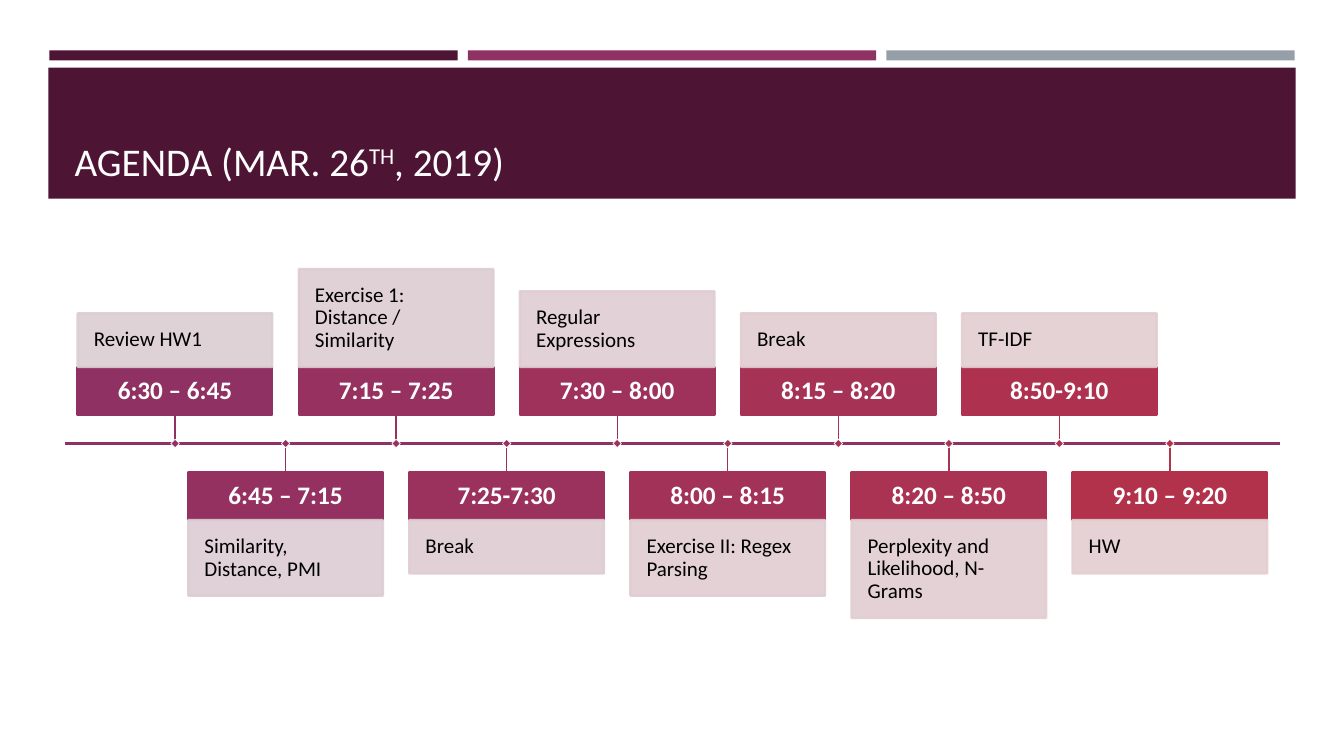
from dataclasses import dataclass

from lxml.etree import SubElement
from pptx import Presentation
from pptx.dml.color import RGBColor
from pptx.enum.shapes import MSO_CONNECTOR as Connector, MSO_SHAPE as Preset
from pptx.enum.text import MSO_ANCHOR as Anchor, MSO_AUTO_SIZE as AutoSize, PP_ALIGN as Align
from pptx.oxml.ns import qn
from pptx.util import Inches, Pt

FONT = "Calibri"
COLOURS = {
    "band": "4D1434", "plum": "903163", "grey": "969FA7",
    "white": "FFFFFF", "title": "FFFEFF", "black": "000000",
    "time0": "903163", "time1": "943161", "time2": "973160", "time3": "9B325D",
    "time4": "9F325B", "time5": "A33258", "time6": "A63256", "time7": "AA3252",
    "time8": "AE324F", "time9": "B2324B",
    "topic0": "DBCED3", "topic1": "DCCDD3", "topic2": "DDCDD2", "topic3": "DECDD2",
    "topic4": "DFCDD2", "topic5": "E0CDD2", "topic6": "E1CDD1", "topic7": "E2CDD1",
    "topic8": "E3CED0", "topic9": "E4CED0",
}


@dataclass(frozen=True)
class Session:
    time: str
    topic: str
    lines: int


@dataclass(frozen=True)
class Label:
    text: str
    size: int
    colour: str
    bold: bool
    align: Align
    inset: float


SESSIONS = [
    Session("6:30 – 6:45", "Review HW1", 1),
    Session("6:45 – 7:15", "Similarity, Distance, PMI", 2),
    Session("7:15 – 7:25", "Exercise 1: Distance / Similarity", 3),
    Session("7:25-7:30", "Break", 1),
    Session("7:30 – 8:00", "Regular Expressions", 2),
    Session("8:00 – 8:15", "Exercise II: Regex Parsing", 2),
    Session("8:15 – 8:20", "Break", 1),
    Session("8:20 – 8:50", "Perplexity and Likelihood, N-Grams", 3),
    Session("8:50-9:10", "TF-IDF", 1),
    Session("9:10 – 9:20", "HW", 1),
]

AXIS_LEFT, AXIS_RIGHT, AXIS_Y = 0.64, 12.7, 4.4
COLUMN = (AXIS_RIGHT - AXIS_LEFT) / (len(SESSIONS) + 1)
CARD_WIDTH, TIME_HEIGHT, STEM = 1.93, 0.48, 0.28
TOPIC_PADDING, TOPIC_LINE = 0.31, 0.22
MARKER = 0.06

deck = Presentation()
deck.slide_width, deck.slide_height = Inches(13.33), Inches(7.5)
page = deck.slides.add_slide(deck.slide_layouts[5])


def colour(name: str) -> RGBColor:
    return RGBColor.from_string(COLOURS[name])


def add_box(left: float, top: float, width: float, height: float, fill: str,
            outline: str = "", weight: float = 1.75):
    box = page.shapes.add_shape(Preset.RECTANGLE, Inches(left), Inches(top),
                                Inches(width), Inches(height))
    box.shadow.inherit = False
    box.fill.solid()
    box.fill.fore_color.rgb = colour(fill)
    if outline:
        box.line.color.rgb = colour(outline)
        box.line.width = Pt(weight)
    else:
        box.line.fill.background()
    return box


def add_line(x1: float, y1: float, x2: float, y2: float, tone: str, weight: float) -> None:
    line = page.shapes.add_connector(Connector.STRAIGHT, Inches(x1), Inches(y1),
                                     Inches(x2), Inches(y2))
    line.line.color.rgb = colour(tone)
    line.line.width = Pt(weight)
    SubElement(line._element.spPr, qn("a:effectLst"))


def write_label(box, label: Label) -> None:
    frame = box.text_frame
    frame.text = label.text
    frame.word_wrap = True
    frame.vertical_anchor = Anchor.MIDDLE
    frame.margin_left = frame.margin_right = Inches(label.inset)
    frame.margin_top = frame.margin_bottom = Inches(label.inset)
    para = frame.paragraphs[0]
    para.alignment = label.align
    para.line_spacing = 0.9
    font = para.runs[0].font
    font.name, font.size, font.bold = FONT, Pt(label.size), label.bold
    font.color.rgb = colour(label.colour)


def soften(box) -> None:
    for tone in box._element.spPr.iter(qn("a:srgbClr")):
        SubElement(tone, qn("a:alpha")).set("val", "90000")


def add_title() -> None:
    title = page.shapes.title
    title.left, title.top = Inches(0.64), Inches(0.77)
    title.width, title.height = Inches(12.06), Inches(1.11)
    page.shapes._spTree.append(title._element)
    frame = title.text_frame
    frame.word_wrap = True
    frame.auto_size = AutoSize.NONE
    frame.vertical_anchor = Anchor.BOTTOM
    para = frame.paragraphs[0]
    para.alignment = Align.LEFT
    for text, baseline in (("AGENDA (MAR. 26", 0), ("TH", 30000), (", 2019)", 0)):
        span = para.add_run()
        span.text = text
        span.font.name, span.font.size = FONT, Pt(28)
        span.font.color.rgb = colour("title")
        if baseline:
            span.font._element.set("baseline", str(baseline))


def add_session(index: int, session: Session) -> None:
    centre = AXIS_LEFT + COLUMN * (index + 1)
    left = centre - CARD_WIDTH / 2
    topic_height = TOPIC_PADDING + TOPIC_LINE * session.lines
    above = index % 2 == 0
    if above:
        stem_end = AXIS_Y - STEM
        time_top = stem_end - TIME_HEIGHT
        topic_top = time_top - topic_height
    else:
        stem_end = time_top = AXIS_Y + STEM
        topic_top = time_top + TIME_HEIGHT
    tone, pale = f"time{index}", f"topic{index}"
    time_box = add_box(left, time_top, CARD_WIDTH, TIME_HEIGHT, tone, tone)
    write_label(time_box, Label(session.time, 18, "white", True, Align.CENTER, 0.1))
    topic_box = add_box(left, topic_top, CARD_WIDTH, topic_height, pale, pale)
    soften(topic_box)
    write_label(topic_box, Label(session.topic, 15, "black", False, Align.LEFT, 0.16))
    add_line(centre, min(stem_end, AXIS_Y), centre, max(stem_end, AXIS_Y), tone, 1)
    marker = add_box(centre - MARKER / 2, AXIS_Y - MARKER / 2, MARKER, MARKER,
                     tone, "white", 0.5)
    marker.rotation = 45


for position, strip in enumerate(("band", "plum", "grey")):
    add_box(0.49 + 4.15 * position, 0.5, 4.05, 0.1, strip)
add_box(0.48, 0.67, 12.37, 1.3, "band")
add_title()
add_line(AXIS_LEFT, AXIS_Y, AXIS_RIGHT, AXIS_Y, "plum", 1.75)
for number, entry in enumerate(SESSIONS):
    add_session(number, entry)

deck.save("out.pptx")
